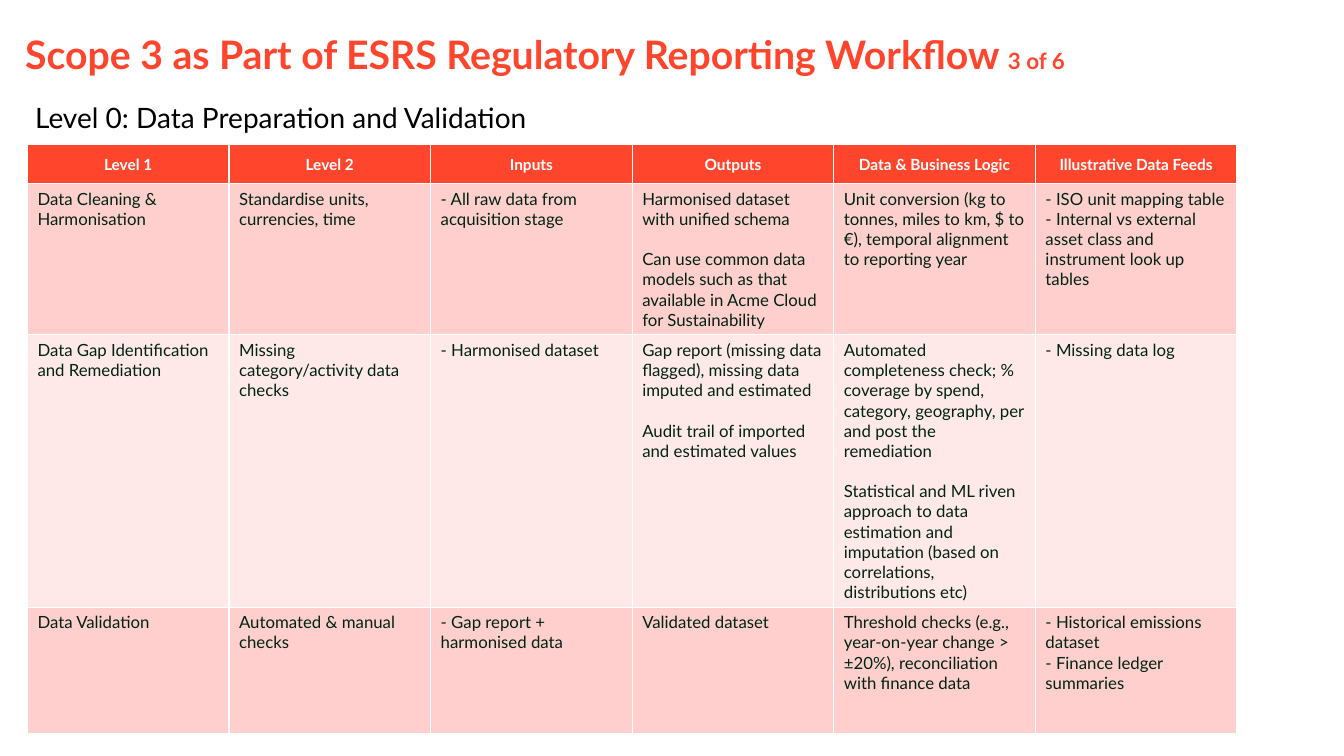
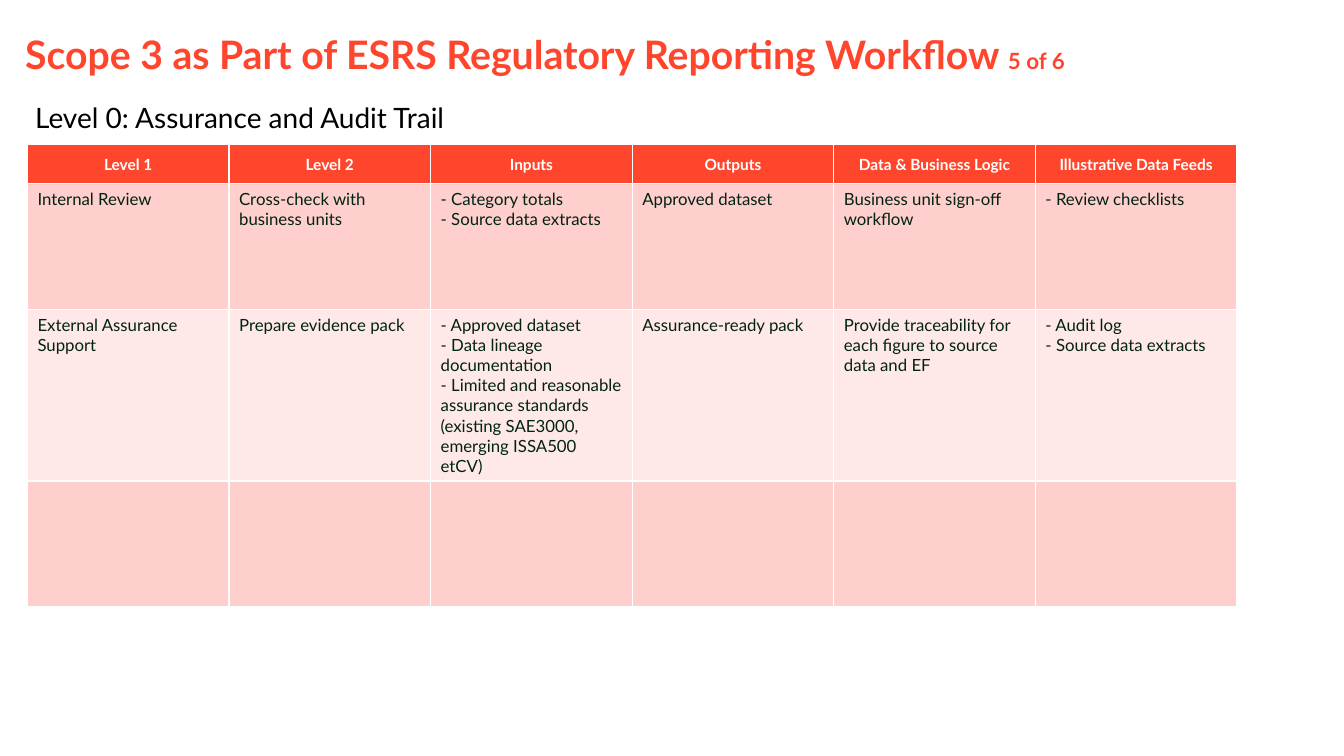
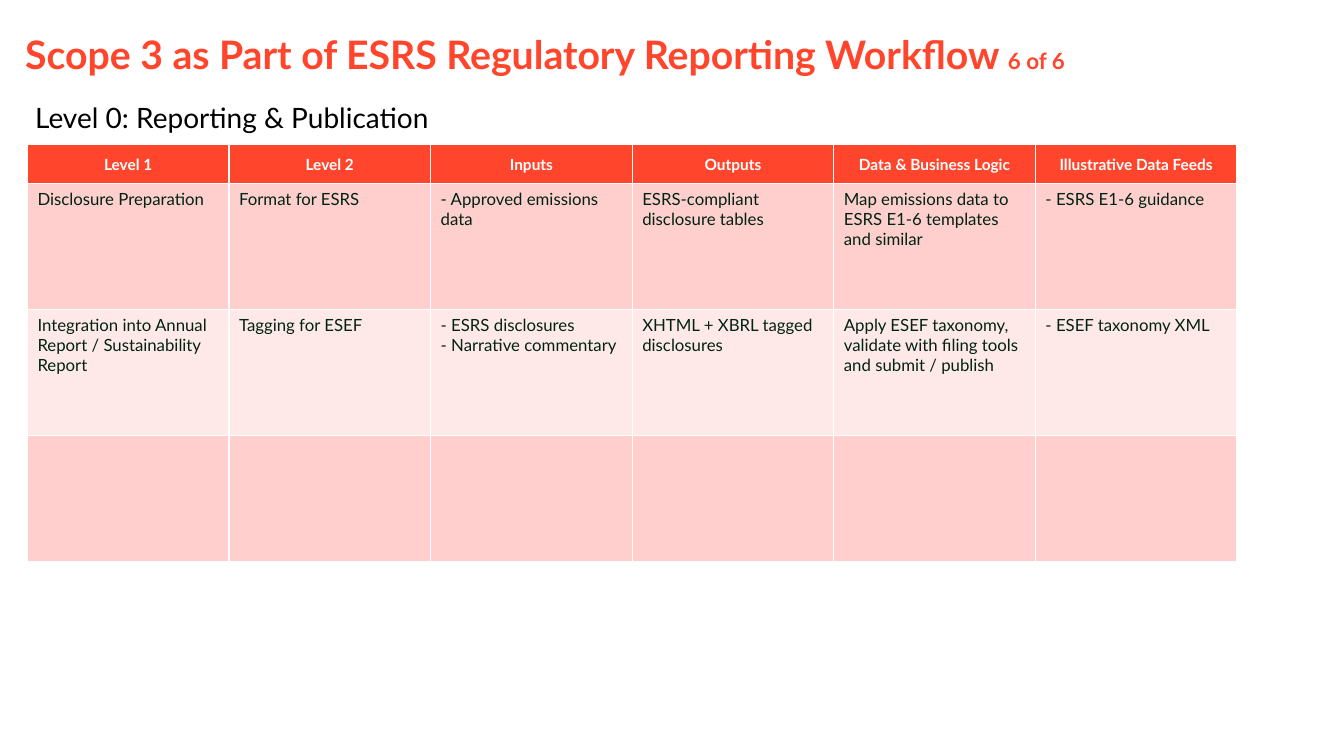
from dataclasses import dataclass

from pptx import Presentation
from pptx.dml.color import RGBColor
from pptx.enum.text import MSO_ANCHOR, MSO_AUTO_SIZE, PP_ALIGN
from pptx.util import Pt

LEFT, CENTER = PP_ALIGN.LEFT, PP_ALIGN.CENTER
TOP, MIDDLE = MSO_ANCHOR.TOP, MSO_ANCHOR.MIDDLE
NO_AUTOFIT, GROW = MSO_AUTO_SIZE.NONE, MSO_AUTO_SIZE.SHAPE_TO_FIT_TEXT
TITLE_ONLY = 5


@dataclass(frozen=True)
class Theme:
    """Colours, font and type sizes shared by the slides."""
    font: str = "Lato"
    accent: str = "FF462D"
    white: str = "FFFFFF"
    black: str = "000000"
    ink: str = "002313"
    bands: tuple = ("FFCFCD", "FFE9E8")
    title: int = 28
    counter: int = 16
    subtitle: int = 20
    header: int = 11
    body: int = 12
    section_gap: float = 14.4


THEME = Theme()
TITLE = "Scope 3 as Part of ESRS Regulatory Reporting Workflow "
HEADERS = ["Level 1", "Level 2", "Inputs", "Outputs", "Data & Business Logic", "Illustrative Data Feeds"]
HEADER_HEIGHT, ROW_HEIGHT, COLUMN_WIDTH = 28, 90, 144
BLANK_ROW = [""] * len(HEADERS)

# Within a cell, "\n" starts a paragraph and "\n\n" starts a spaced section.
SLIDES = [
    ("3 of 6", "Level 0: Data Preparation and Validation", [
        ["Data Cleaning & Harmonisation",
         "Standardise units, currencies, time",
         "- All raw data from acquisition stage",
         "Harmonised dataset with unified schema\n\nCan use common data models such as that "
         "available in Acme Cloud for Sustainability",
         "Unit conversion (kg to tonnes, miles to km, $ to €), temporal alignment to reporting year",
         "- ISO unit mapping table\n- Internal vs external asset class and instrument look up tables"],
        ["Data Gap Identification and Remediation",
         "Missing category/activity data checks",
         "- Harmonised dataset",
         "Gap report (missing data flagged), missing data imputed and estimated\n\n"
         "Audit trail of imported and estimated values",
         "Automated completeness check; % coverage by spend, category, geography, per and post "
         "the remediation\n\nStatistical and ML riven approach to data estimation and imputation "
         "(based on correlations, distributions etc)",
         "- Missing data log"],
        ["Data Validation",
         "Automated & manual checks",
         "- Gap report + harmonised data",
         "Validated dataset",
         "Threshold checks (e.g., year-on-year change > ±20%), reconciliation with finance data",
         "- Historical emissions dataset\n- Finance ledger summaries"],
    ]),
    ("5 of 6", "Level 0: Assurance and Audit Trail", [
        ["Internal Review",
         "Cross-check with business units",
         "- Category totals\n- Source data extracts",
         "Approved dataset",
         "Business unit sign-off workflow",
         "- Review checklists"],
        ["External Assurance Support",
         "Prepare evidence pack",
         "- Approved dataset\n- Data lineage documentation\n- Limited and reasonable assurance "
         "standards (existing SAE3000, emerging ISSA500 etCV)",
         "Assurance-ready pack",
         "Provide traceability for each figure to source data and EF",
         "- Audit log\n- Source data extracts"],
        BLANK_ROW,
    ]),
    ("6 of 6", "Level 0: Reporting & Publication", [
        ["Disclosure Preparation",
         "Format for ESRS",
         "- Approved emissions data",
         "ESRS-compliant disclosure tables",
         "Map emissions data to ESRS E1-6 templates and similar",
         "- ESRS E1-6 guidance"],
        ["Integration into Annual Report / Sustainability Report",
         "Tagging for ESEF",
         "- ESRS disclosures\n- Narrative commentary",
         "XHTML + XBRL tagged disclosures",
         "Apply ESEF taxonomy, validate with filing tools and submit / publish",
         "- ESEF taxonomy XML"],
        BLANK_ROW,
    ]),
]


def style_paragraph(paragraph, size, color, bold=False, align=LEFT):
    """Set the font and alignment of one paragraph."""
    paragraph.alignment = align
    font = paragraph.font
    font.name, font.size, font.bold = THEME.font, Pt(size), bold
    font.color.rgb = RGBColor.from_string(color)


def add_title(slide, counter):
    """Place the title with its smaller slide counter."""
    shape = slide.shapes.title
    shape.left, shape.top, shape.width, shape.height = Pt(18), Pt(26), Pt(924), Pt(29)
    frame = shape.text_frame
    frame.margin_left = frame.margin_top = frame.margin_right = frame.margin_bottom = 0
    frame.vertical_anchor, frame.auto_size = MIDDLE, NO_AUTOFIT
    paragraph = frame.paragraphs[0]
    paragraph.line_spacing = 0.9
    style_paragraph(paragraph, THEME.title, THEME.accent, bold=True)
    for text, size in ((TITLE, THEME.title), (counter, THEME.counter)):
        run = paragraph.add_run()
        run.text, run.font.size = text, Pt(size)


def add_subtitle(slide, text):
    """Add the level heading above the table."""
    frame = slide.shapes.add_textbox(Pt(18), Pt(68.4), Pt(480), Pt(31.5)).text_frame
    frame.word_wrap, frame.auto_size = True, GROW
    frame.text = text
    style_paragraph(frame.paragraphs[0], THEME.subtitle, THEME.black)


def fill_cell(cell, text, fill, anchor, **style):
    """Write one table cell, spacing its sections apart."""
    cell.fill.solid()
    cell.fill.fore_color.rgb = RGBColor.from_string(fill)
    cell.vertical_anchor = anchor
    frame = cell.text_frame
    for section_index, section in enumerate(text.split("\n\n")):
        for line_index, line in enumerate(section.split("\n")):
            is_first = section_index == line_index == 0
            paragraph = frame.paragraphs[0] if is_first else frame.add_paragraph()
            paragraph.text = line
            if section_index and not line_index:
                paragraph.space_before = Pt(THEME.section_gap)
            style_paragraph(paragraph, **style)


def add_workflow_table(slide, rows):
    """Add the header row and the banded body rows."""
    row_count, column_count = len(rows) + 1, len(HEADERS)
    height = HEADER_HEIGHT + ROW_HEIGHT * len(rows)
    table = slide.shapes.add_table(row_count, column_count, Pt(19.6), Pt(103.2),
                                   Pt(COLUMN_WIDTH * column_count), Pt(height)).table
    table.rows[0].height = Pt(HEADER_HEIGHT)
    for column, header in enumerate(HEADERS):
        table.columns[column].width = Pt(COLUMN_WIDTH)
        fill_cell(table.cell(0, column), header, THEME.accent, MIDDLE,
                  size=THEME.header, color=THEME.white, bold=True, align=CENTER)
    for index, row in enumerate(rows):
        table.rows[index + 1].height = Pt(ROW_HEIGHT)
        for column, text in enumerate(row):
            fill_cell(table.cell(index + 1, column), text, THEME.bands[index % 2], TOP,
                      size=THEME.body, color=THEME.ink)


def main():
    """Build and save the presentation."""
    presentation = Presentation()
    presentation.slide_width, presentation.slide_height = Pt(960), Pt(540)
    for counter, subtitle, rows in SLIDES:
        slide = presentation.slides.add_slide(presentation.slide_layouts[TITLE_ONLY])
        add_title(slide, counter)
        add_subtitle(slide, subtitle)
        add_workflow_table(slide, rows)
    presentation.save("out.pptx")


if __name__ == "__main__":
    main()
